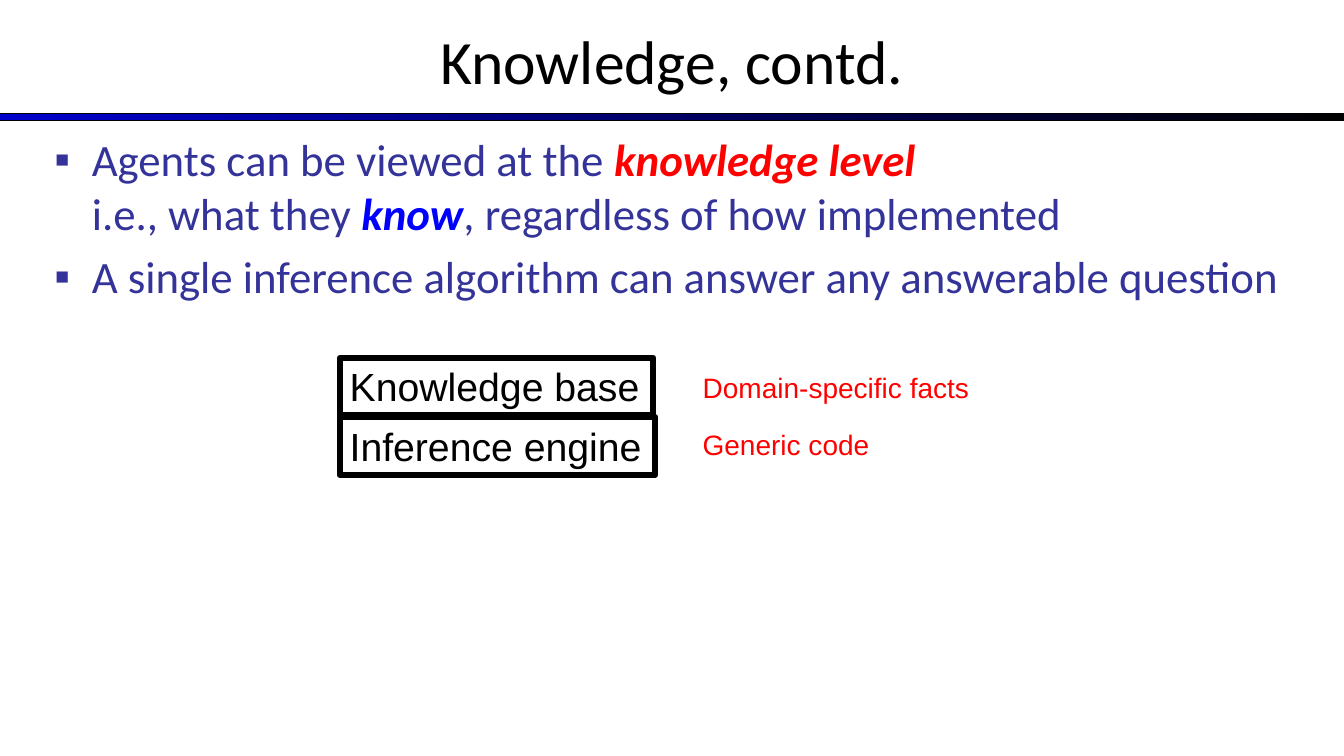
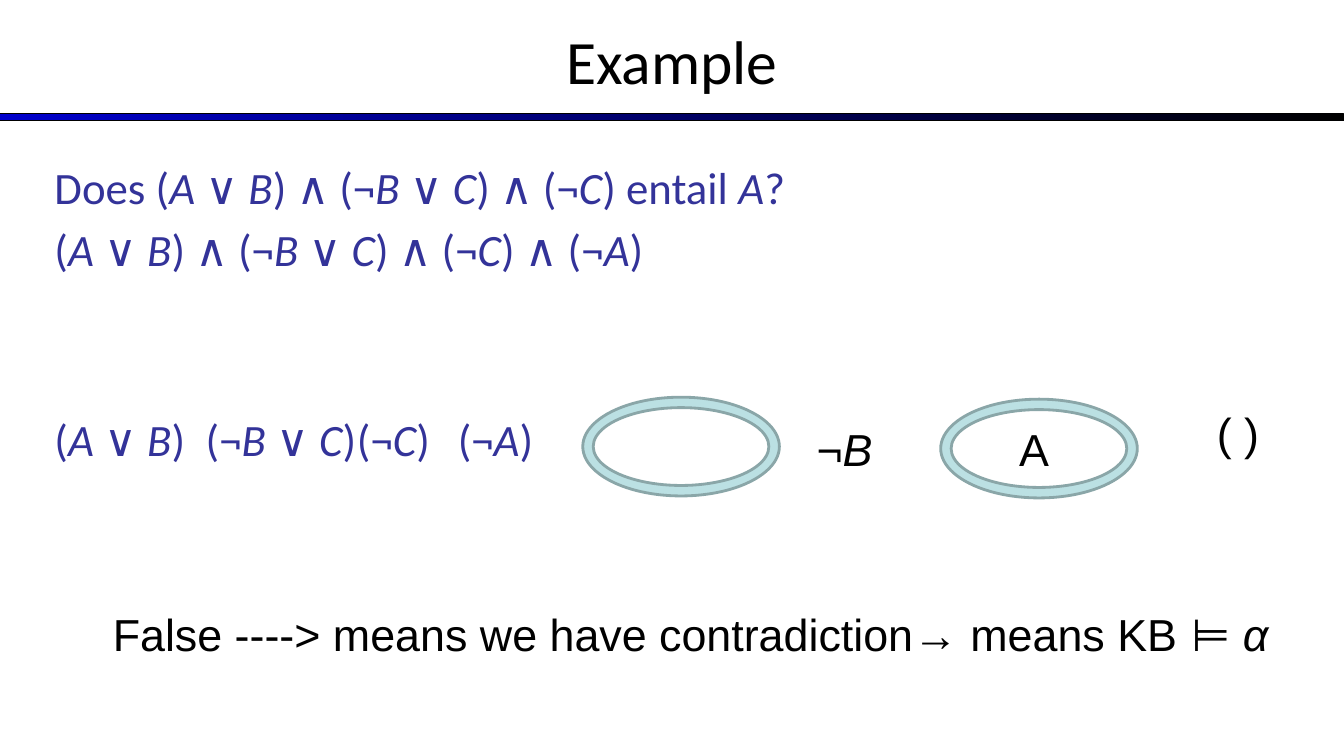
"""Build two lecture slides on knowledge-based agents and entailment by contradiction."""
from dataclasses import dataclass
from typing import Optional

from lxml.etree import SubElement
from pptx import Presentation
from pptx.dml.color import RGBColor
from pptx.enum.shapes import MSO_SHAPE
from pptx.enum.text import MSO_ANCHOR, MSO_AUTO_SIZE, PP_ALIGN
from pptx.oxml.ns import qn
from pptx.util import Inches, Pt

COLORS = {
    "black": "000000",
    "body": "333399",
    "red": "FF0000",
    "blue": "0000FF",
    "band": "0000CC",
    "ring": "BBE0E3",
    "ring_edge": "8AA6A8",
}
HEADING_FONT = "Calibri"
LABEL_FONT = "Arial"
BODY_SIZE = 32
BODY_GAP = 6.4
SLIDE_WIDTH = 13.33


@dataclass(frozen=True)
class Span:
    text: str
    italic: bool = False
    bold: bool = False
    color: Optional[str] = None
    ends_line: bool = False


@dataclass(frozen=True)
class Item:
    spans: list[Span]
    bullet: Optional[str] = None
    space_before: float = BODY_GAP
    tabs: tuple[float, ...] = ()


@dataclass(frozen=True)
class Label:
    spans: list[Span]
    left: float
    top: float
    width: float
    height: float
    size: int = BODY_SIZE
    color: str = "black"
    boxed: bool = False


def rgb(name: str) -> RGBColor:
    return RGBColor.from_string(COLORS[name])


def formula(text: str) -> list[Span]:
    parts = text.split("*")
    return [Span(part, italic=i % 2 == 1) for i, part in enumerate(parts) if part]


def style(paragraph, font_name: str, size: int, color: str) -> None:
    paragraph.font.name = font_name
    paragraph.font.size = Pt(size)
    paragraph.font.color.rgb = rgb(color)


def write_spans(paragraph, spans: list[Span]) -> None:
    for span in spans:
        run = paragraph.add_run()
        run.text = span.text
        if span.italic:
            run.font.italic = True
        if span.bold:
            run.font.bold = True
        if span.color:
            run.font.color.rgb = rgb(span.color)
        if span.ends_line:
            paragraph.add_line_break()


def place(shape, left: float, top: float, width: float, height: float) -> None:
    shape.left, shape.top = Inches(left), Inches(top)
    shape.width, shape.height = Inches(width), Inches(height)


def set_list_format(paragraph, item: Item) -> None:
    properties = paragraph._p.get_or_add_pPr()
    indent = Inches(0.37) if item.bullet else 0
    properties.set("marL", str(indent))
    properties.set("indent", str(-indent))
    if item.bullet:
        bullet_color = SubElement(properties, qn("a:buClr"))
        SubElement(bullet_color, qn("a:srgbClr"), val=COLORS["body"])
        SubElement(properties, qn("a:buFont"), typeface=LABEL_FONT)
        SubElement(properties, qn("a:buChar"), char=item.bullet)
    else:
        SubElement(properties, qn("a:buNone"))
    if item.tabs:
        stops = SubElement(properties, qn("a:tabLst"))
        for stop in item.tabs:
            SubElement(stops, qn("a:tab"), pos=str(Inches(stop)), algn="l")


def add_band(slide) -> None:
    band = slide.shapes.add_shape(
        MSO_SHAPE.RECTANGLE, 0, Inches(1.13), Inches(SLIDE_WIDTH), Inches(0.07)
    )
    band.shadow.inherit = False
    band.fill.gradient()
    band.fill.gradient_angle = 0
    for stop, position, color in zip(band.fill.gradient_stops, (0, 1), ("band", "black")):
        stop.position = position
        stop.color.rgb = rgb(color)
    band.line.color.rgb = rgb("black")
    band.line.width = Pt(0.75)


def start_slide(presentation, heading: str, items: list[Item], top: float, height: float):
    slide = presentation.slides.add_slide(presentation.slide_layouts[1])
    add_band(slide)
    title, body = slide.shapes.title, slide.placeholders[1]
    place(title, 0, -0.03, SLIDE_WIDTH, 1.25)
    title.text_frame.text = heading
    title.text_frame.vertical_anchor = MSO_ANCHOR.MIDDLE
    title.text_frame.auto_size = MSO_AUTO_SIZE.NONE
    title_line = title.text_frame.paragraphs[0]
    title_line.alignment = PP_ALIGN.CENTER
    style(title_line, HEADING_FONT, 44, "black")

    place(body, 0.44, top, 12.44, height)
    frame = body.text_frame
    frame.auto_size = MSO_AUTO_SIZE.NONE
    for i, item in enumerate(items):
        paragraph = frame.add_paragraph() if i else frame.paragraphs[0]
        paragraph.space_before = Pt(item.space_before if i else 0)
        set_list_format(paragraph, item)
        style(paragraph, HEADING_FONT, BODY_SIZE, "body")
        write_spans(paragraph, item.spans)
    return slide


def add_label(slide, label: Label) -> None:
    area = [Inches(v) for v in (label.left, label.top, label.width, label.height)]
    if label.boxed:
        holder = slide.shapes.add_shape(MSO_SHAPE.RECTANGLE, *area)
        holder.shadow.inherit = False
        holder.fill.background()
        holder.line.color.rgb = rgb("black")
        holder.line.width = Pt(4.5)
    else:
        holder = slide.shapes.add_textbox(*area)
    frame = holder.text_frame
    frame.word_wrap = False
    frame.auto_size = MSO_AUTO_SIZE.SHAPE_TO_FIT_TEXT
    frame.vertical_anchor = MSO_ANCHOR.TOP
    paragraph = frame.paragraphs[0]
    paragraph.alignment = PP_ALIGN.LEFT
    style(paragraph, LABEL_FONT, label.size, label.color)
    write_spans(paragraph, label.spans)


def add_ring(slide, left: float, top: float) -> None:
    ring = slide.shapes.add_shape(
        MSO_SHAPE.DONUT, Inches(left), Inches(top), Inches(1.95), Inches(0.98)
    )
    ring.adjustments[0] = 0.106
    ring.shadow.inherit = False
    ring.fill.solid()
    ring.fill.fore_color.rgb = rgb("ring")
    ring.line.color.rgb = rgb("ring_edge")
    ring.line.width = Pt(2)


def build_knowledge(presentation) -> None:
    items = [
        Item(
            [
                Span("Agents can be viewed at the "),
                Span("knowledge level", True, True, "red", ends_line=True),
                Span("i.e., what they "),
                Span("know", True, True, "blue"),
                Span(", regardless of how implemented"),
            ],
            bullet="▪",
        ),
        Item(
            [Span("A single inference algorithm can answer any answerable question")],
            bullet="▪",
        ),
    ]
    slide = start_slide(presentation, "Knowledge, contd.", items, 1.26, 4.94)
    labels = [
        Label([Span("Knowledge base")], 3.37, 3.55, 3.11, 0.57, 28, boxed=True),
        Label([Span("Inference engine")], 3.37, 4.14, 3.13, 0.57, 28, boxed=True),
        Label([Span("Domain-specific facts")], 6.87, 3.63, 2.87, 0.44, 20, "red"),
        Label([Span("Generic code")], 6.87, 4.19, 1.87, 0.44, 20, "red"),
    ]
    for label in labels:
        add_label(slide, label)


def build_example(presentation) -> None:
    premises = "(*A* ∨ *B*) ∧ (¬*B* ∨ *C*) ∧ (¬*C*)"
    items = [
        Item(formula(f"Does {premises} entail *A*?")),
        Item(formula(f"{premises} ∧ (¬*A*)")),
        Item(
            formula("(*A* ∨ *B*)\t(¬*B* ∨ *C*)\t(¬*C*)\t(¬*A*)"),
            space_before=97,
            tabs=(2.01, 4.3, 5.94),
        ),
    ]
    slide = start_slide(presentation, "Example", items, 1.53, 3.39)
    for left, top in ((5.78, 3.94), (9.33, 3.96)):
        add_ring(slide, left, top)
    conclusion = "False ----> means we have contradiction→ means KB ⊨ *α*"
    labels = [
        Label(formula("¬*B*"), 8, 4.13, 0.89, 0.64),
        Label(formula("A"), 10.01, 4.13, 0.5, 0.64),
        Label(formula("( )"), 11.97, 3.98, 0.62, 0.64),
        Label(formula(conclusion), 1.02, 5.97, 11.92, 0.64),
    ]
    for label in labels:
        add_label(slide, label)


def main() -> None:
    presentation = Presentation()
    presentation.slide_width = Inches(SLIDE_WIDTH)
    presentation.slide_height = Inches(7.5)
    build_knowledge(presentation)
    build_example(presentation)
    presentation.save("out.pptx")


if __name__ == "__main__":
    main()
